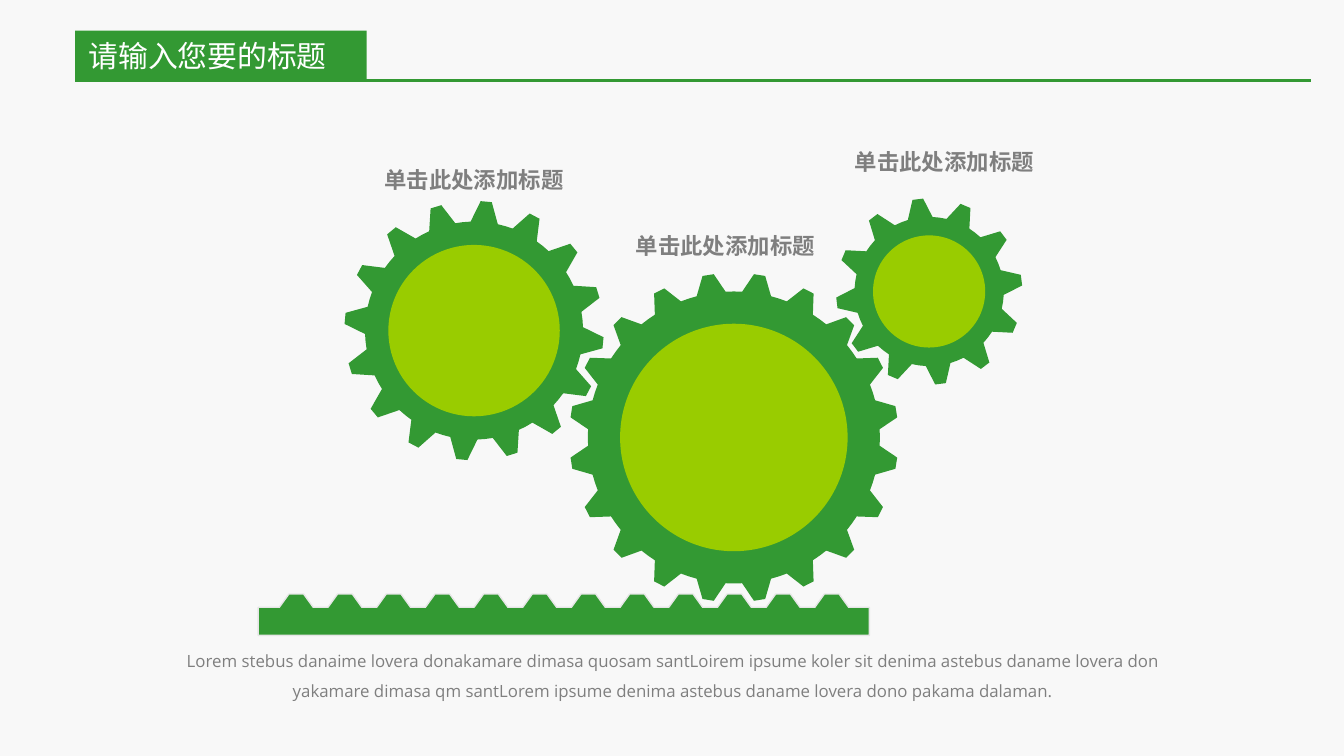
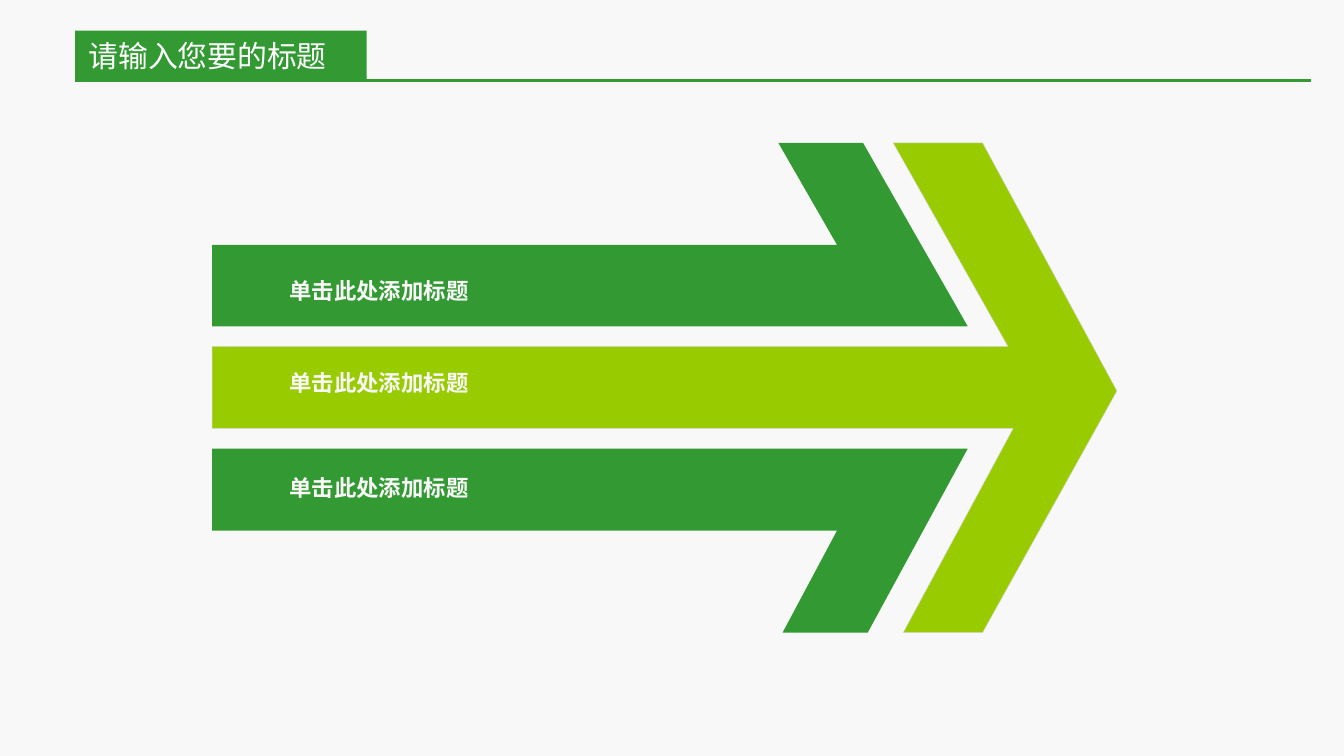
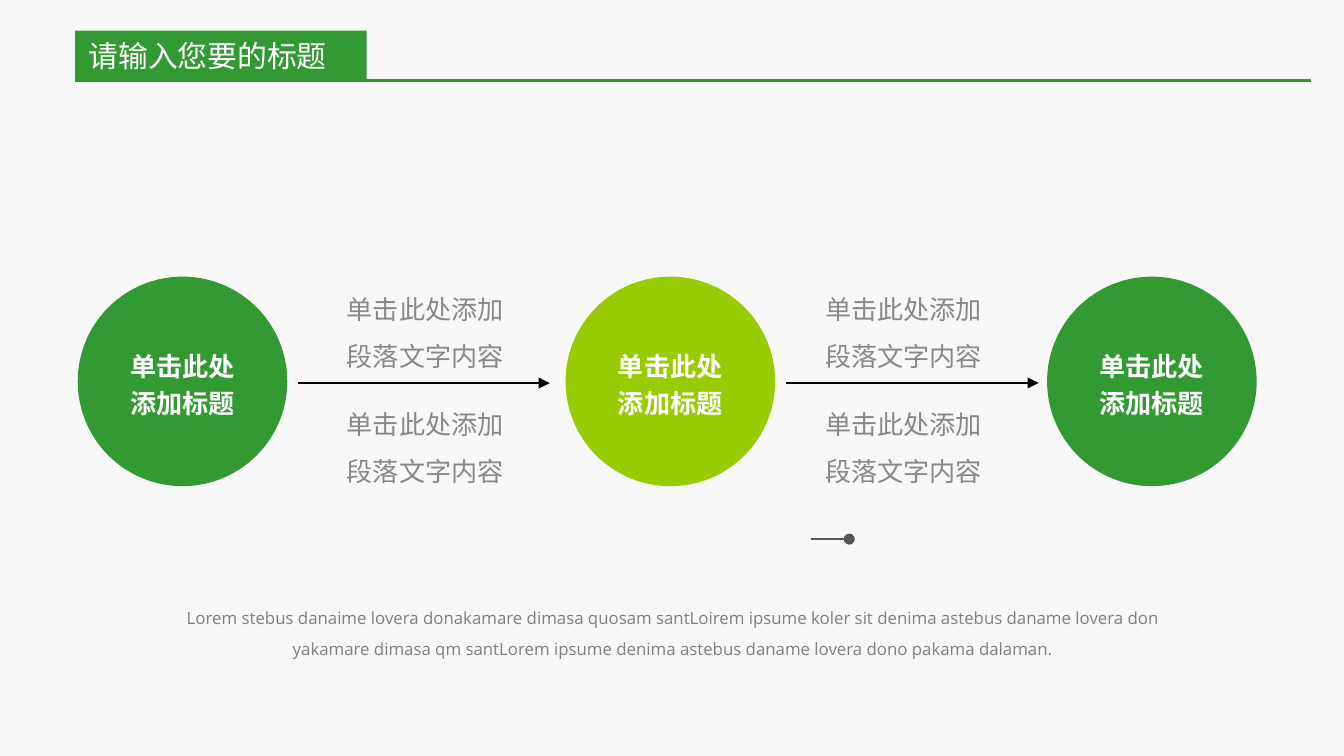
from math import cos, radians, sin

from lxml.etree import SubElement
from pptx import Presentation
from pptx.dml.color import RGBColor
from pptx.enum.shapes import MSO_CONNECTOR, MSO_SHAPE
from pptx.enum.text import MSO_ANCHOR as ANCHOR, MSO_AUTO_SIZE, PP_ALIGN as ALIGN
from pptx.oxml.ns import qn
from pptx.util import Cm, Pt

GREEN = RGBColor(0x33, 0x99, 0x33)
LIME = RGBColor(0x99, 0xCC, 0x00)
PAPER = RGBColor(0xF8, 0xF8, 0xF8)
WHITE = RGBColor(0xFF, 0xFF, 0xFF)
BLACK = RGBColor(0x00, 0x00, 0x00)
GRAY = RGBColor(0x7F, 0x7F, 0x7F)
NOTE_GRAY = RGBColor(0x88, 0x88, 0x88)
SLATE = RGBColor(0x53, 0x58, 0x5F)
RACK_EDGE = RGBColor(0xE6, 0xE6, 0xE6)
ARROW_EDGE = RGBColor(0xD7, 0xD7, 0xD7)
CJK, LATIN = "Noto Sans CJK SC", "Open Sans"

# All positions and sizes are in centimetres.
TITLE = "请输入您要的标题"
TITLE_BOX = (1.42, 0.58, 5.51, 0.94)
RULE_Y, RULE_RIGHT = 1.52, 24.77
LABEL = "单击此处添加标题"
NOTE = "单击此处添加\n段落文字内容"
LOREM = ("Lorem stebus danaime lovera donakamare dimasa quosam santLoirem ipsume "
         "koler sit denima astebus daname lovera don yakamare dimasa qm santLorem "
         "ipsume denima astebus daname lovera dono pakama dalaman.")

# centre x, centre y, tip radius, root radius, hub radius, teeth, first tooth angle
GEARS = [
    (13.87, 8.27, 3.11, 2.76, 2.15, 20, 9),
    (17.56, 5.51, 1.76, 1.41, 1.06, 12, -7),
    (8.96, 6.25, 2.45, 2.06, 1.62, 16, 5.4),
]
GEAR_LABELS = [(6.93, 3.02), (11.68, 4.27), (15.82, 2.67)]
TIP_SHARE, ROOT_SHARE = 0.11, 0.32  # half widths of a tooth as shares of the pitch

RACK_LEFT, RACK_RIGHT, RACK_TOP, RACK_BOTTOM = 4.88, 16.43, 11.48, 12.01
RACK_TEETH, RACK_FIRST, RACK_PITCH = 12, 5.28, 0.92
RACK_TOOTH = [(0, 0), (0.18, -0.25), (0.46, -0.25), (0.64, 0)]

ARROW_PARTS = [
    (GREEN, None, [(4.01, 4.63), (15.82, 4.63), (14.71, 2.7), (16.31, 2.7),
                   (18.29, 6.17), (4.01, 6.17)]),
    (GREEN, None, [(4.01, 10.03), (15.82, 10.03), (14.79, 11.96), (16.4, 11.96),
                   (18.29, 8.48), (4.01, 8.48)]),
    (LIME, ARROW_EDGE, [(4.01, 6.55), (19.05, 6.55), (16.88, 2.7), (18.57, 2.7),
                        (21.11, 7.39), (18.57, 11.96), (17.07, 11.96),
                        (19.15, 8.1), (4.01, 8.1)]),
]
ARROW_LABEL_X, ARROW_LABEL_YS = 5.16, (5.11, 6.86, 8.84)

CIRCLES = [(1.47, GREEN), (10.69, LIME), (19.79, GREEN)]
CIRCLE_Y, CIRCLE_SIZE = 5.23, 3.96
NOTE_XS, NOTE_YS = (4.98, 14.02), (5.08, 7.24)
FLOW_Y, FLOW_SPANS = 7.24, [(5.64, 10.39), (14.86, 19.63)]


def cm(values):
    return [Cm(v) for v in values]


def paint(sp, fill, edge=None, width=0.75):
    sp.shadow.inherit = False
    sp.fill.solid()
    sp.fill.fore_color.rgb = fill
    if edge is None:
        sp.line.fill.background()
    else:
        sp.line.color.rgb = edge
        sp.line.width = Pt(width)


def write(sp, text, size, color, font=CJK, bold=False, align=ALIGN.CENTER,
          spacing=1.0, anchor=ANCHOR.TOP):
    tf = sp.text_frame
    tf.text = text
    tf.word_wrap = True
    tf.auto_size = MSO_AUTO_SIZE.NONE
    tf.vertical_anchor = anchor
    for p in tf.paragraphs:
        p.alignment = align
        p.line_spacing = spacing
        for r in p.runs:
            r.font.name, r.font.size, r.font.bold = font, Pt(size), bold
            r.font.color.rgb = color
            SubElement(r.font._element, qn("a:ea"), typeface=font)


def add_text(slide, box, text, size, color, **style):
    sp = slide.shapes.add_textbox(*cm(box))
    write(sp, text, size, color, **style)
    return sp


def add_lorem(slide, top):
    tf = add_text(slide, (3.18, top, 19.05, 1.35), LOREM, 9, GRAY,
                  font=LATIN, spacing=1.5).text_frame
    tf.margin_left = tf.margin_right = Cm(0.18)
    tf.margin_top = tf.margin_bottom = Cm(0.1)


def add_circle(shapes, left, top, size, fill):
    sp = shapes.add_shape(MSO_SHAPE.OVAL, *cm((left, top, size, size)))
    paint(sp, fill)
    return sp


def add_polygon(shapes, points, fill, edge=None, width=0.75):
    first, *rest = [cm(point) for point in points]
    builder = shapes.build_freeform(*first)
    builder.add_line_segments(rest, close=True)
    paint(builder.convert_to_shape(), fill, edge, width)


def add_line(slide, x1, x2, y, color, width, end=None):
    line = slide.shapes.add_connector(MSO_CONNECTOR.STRAIGHT, *cm((x1, y, x2, y)))
    line.line.color.rgb = color
    line.line.width = Pt(width)
    if end:
        SubElement(line.line._get_or_add_ln(), qn("a:tailEnd"), type=end)
    SubElement(line._element.spPr, qn("a:effectLst"))


def add_titled_slide(prs):
    slide = prs.slides.add_slide(prs.slide_layouts[5])
    title = slide.shapes.title
    title.left, title.top, title.width, title.height = cm(TITLE_BOX)
    title.fill.solid()
    title.fill.fore_color.rgb = GREEN
    write(title, TITLE, 16, WHITE, align=ALIGN.LEFT, anchor=ANCHOR.MIDDLE)
    add_line(slide, RULE_RIGHT, TITLE_BOX[0], RULE_Y, GREEN, 1.5)
    return slide


def gear_outline(cx, cy, tip, root, teeth, start):
    """Points of a gear, clockwise; angles are degrees from the top."""
    pitch = 360 / teeth
    profile = [(-ROOT_SHARE, root), (-TIP_SHARE, tip), (TIP_SHARE, tip),
               (ROOT_SHARE, root), (0.5, root)]
    points = []
    for i in range(teeth):
        for share, radius in profile:
            angle = radians(start + (i + share) * pitch)
            points.append((cx + radius * sin(angle), cy - radius * cos(angle)))
    return points


def build_gears(prs):
    slide = add_titled_slide(prs)
    for cx, cy, tip, root, hub, teeth, start in GEARS:
        shapes = slide.shapes.add_group_shape().shapes
        add_polygon(shapes, gear_outline(cx, cy, tip, root, teeth, start), GREEN)
        add_circle(shapes, cx - hub, cy - hub, 2 * hub, LIME)
    teeth = [(RACK_FIRST + i * RACK_PITCH + dx, RACK_TOP + dy)
             for i in range(RACK_TEETH) for dx, dy in RACK_TOOTH]
    rack = [(RACK_LEFT, RACK_TOP), *teeth, (RACK_RIGHT, RACK_TOP),
            (RACK_RIGHT, RACK_BOTTOM), (RACK_LEFT, RACK_BOTTOM)]
    add_polygon(slide.shapes, rack, GREEN, RACK_EDGE)
    for x, y in GEAR_LABELS:
        add_text(slide, (x, y, 4.06, 0.76), LABEL, 12, GRAY, bold=True)
    add_lorem(slide, 12.01)


def build_arrow(prs):
    slide = add_titled_slide(prs)
    for fill, edge, points in ARROW_PARTS:
        add_polygon(slide.shapes, points, fill, edge, 0.25)
    for y in ARROW_LABEL_YS:
        add_text(slide, (ARROW_LABEL_X, y, 4.01, 0.76), LABEL, 12, PAPER, bold=True)


def build_flow(prs):
    slide = add_titled_slide(prs)
    for x in NOTE_XS:
        for y in NOTE_YS:
            add_text(slide, (x, y, 6.12, 2.13), NOTE, 14, NOTE_GRAY,
                     spacing=1.5, anchor=ANCHOR.MIDDLE)
    for x1, x2 in FLOW_SPANS:
        add_line(slide, x1, x2, FLOW_Y, BLACK, 1.5, "triangle")
    for x, fill in CIRCLES:
        sp = add_circle(slide.shapes, x, CIRCLE_Y, CIRCLE_SIZE, fill)
        write(sp, LABEL, 14, WHITE, bold=True, spacing=1.2, anchor=ANCHOR.MIDDLE)
    add_line(slide, 15.32, 16.05, 10.19, SLATE, 1, "oval")
    add_lorem(slide, 11.2)


def main():
    prs = Presentation()
    prs.slide_width, prs.slide_height = Cm(25.4), Cm(14.29)
    background = prs.slide_master.background.fill
    background.solid()
    background.fore_color.rgb = PAPER
    for build in (build_gears, build_arrow, build_flow):
        build(prs)
    prs.save("out.pptx")


if __name__ == "__main__":
    main()
